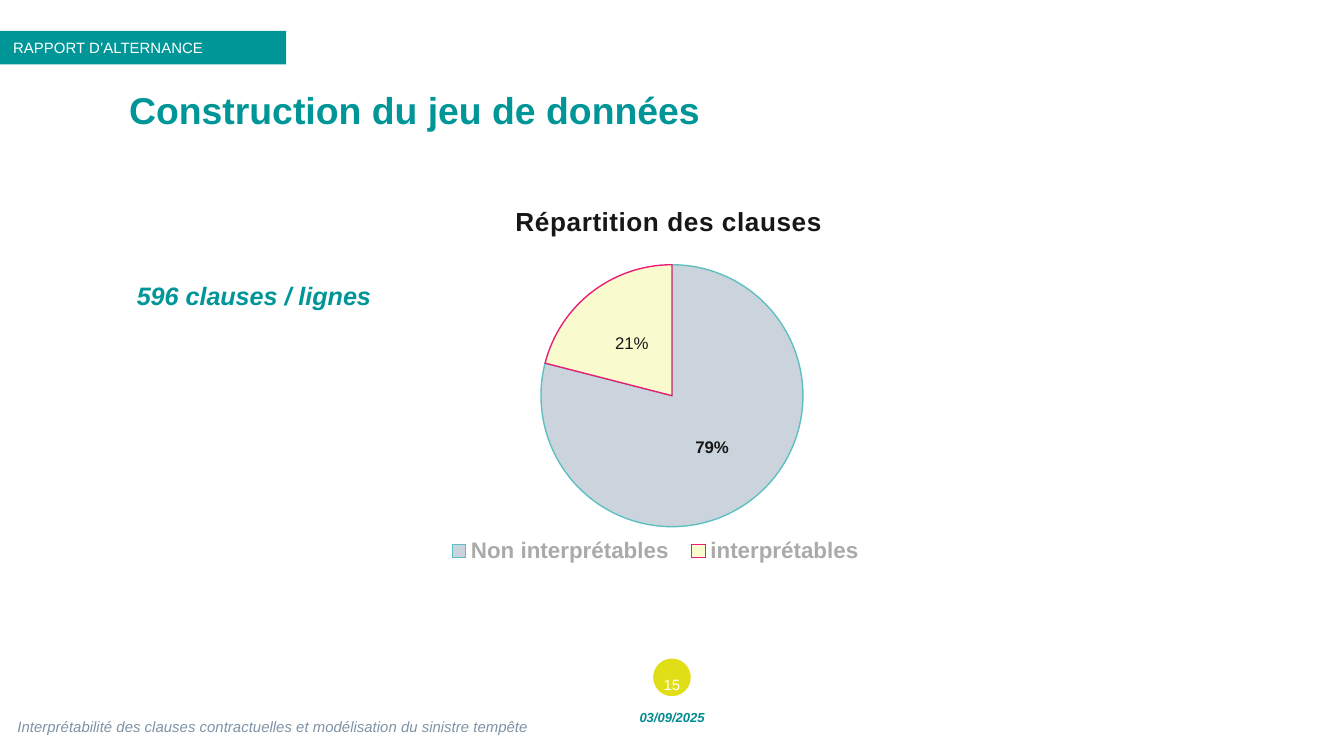
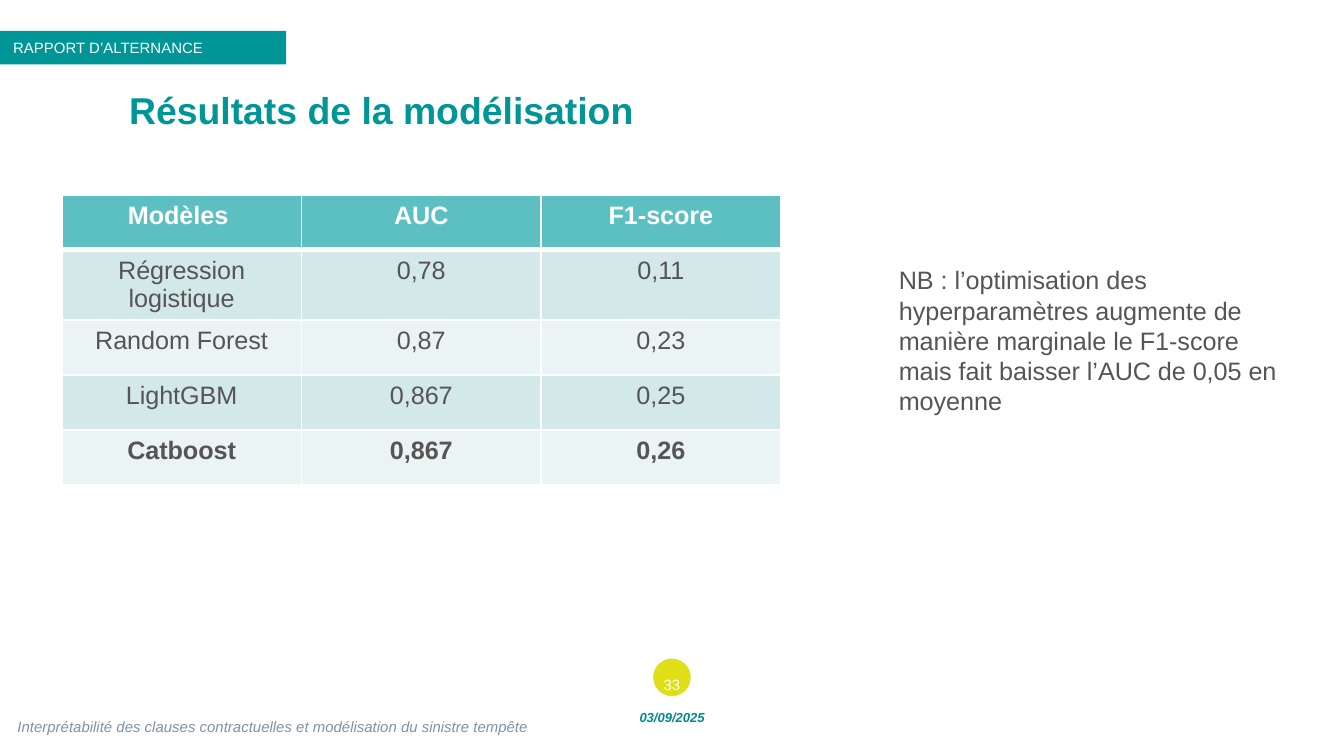
from collections import namedtuple

from lxml import etree
from pptx import Presentation
from pptx.chart.data import CategoryChartData
from pptx.dml.color import RGBColor
from pptx.enum.chart import XL_CHART_TYPE, XL_LABEL_POSITION, XL_LEGEND_POSITION
from pptx.enum.shapes import MSO_SHAPE
from pptx.enum.text import MSO_ANCHOR as Anchor, MSO_AUTO_SIZE as AutoSize, PP_ALIGN as Align
from pptx.oxml import parse_xml
from pptx.oxml.ns import nsdecls, qn
from pptx.util import Inches, Pt

FONT = "Arial"
TEAL = RGBColor(0x00, 0x95, 0x97)
DARK_TEAL = RGBColor(0x00, 0x89, 0x90)
LIGHT_TEAL = RGBColor(0x5C, 0xBF, 0xC1)
PALE_TEAL = RGBColor(0xD2, 0xE8, 0xE9)
PALEST_TEAL = RGBColor(0xEA, 0xF4, 0xF4)
LIME = RGBColor(0xE0, 0xDE, 0x16)
PINK = RGBColor(0xE7, 0x1E, 0x74)
SLATE = RGBColor(0x7E, 0x93, 0xA7)
MIST = RGBColor(0xCB, 0xD4, 0xDC)
CREAM = RGBColor(0xFA, 0xFA, 0xCF)
BLACK = RGBColor(0x18, 0x17, 0x17)
GRAY = RGBColor(0x57, 0x54, 0x54)
LIGHT_GRAY = RGBColor(0xAC, 0xA9, 0xA9)
WHITE = RGBColor(0xFF, 0xFF, 0xFF)

BODY_SIZE = 13.5
TIGHT = 0.04
DATE = "03/09/2025"
BAND_TEXT = "RAPPORT D’ALTERNANCE"
FOOTER_TEXT = "Interprétabilité des clauses contractuelles et modélisation du sinistre tempête"

Box = namedtuple("Box", "left top width height")
PAGE = Box(0, 0, 10, 10 * 9 / 16)


def inches(box):
    """Return the box as four lengths."""
    return [Inches(value) for value in box]


def style_font(font, size, color, bold=False, italic=False):
    """Set the common font with its size, colour and weight."""
    font.name = FONT
    font.size = Pt(size)
    font.color.rgb = color
    font.bold = bold
    font.italic = italic


def write(frame, text, size, color, bold=False, italic=False, align=Align.LEFT):
    """Write one styled run and return its paragraph."""
    paragraph = frame.paragraphs[0]
    paragraph.alignment = align
    run = paragraph.add_run()
    run.text = text
    style_font(run.font, size, color, bold, italic)
    return paragraph


def set_margins(frame, margin):
    """Give the four sides of a text frame the same margin."""
    frame.margin_left = frame.margin_right = Inches(margin)
    frame.margin_top = frame.margin_bottom = Inches(margin)


def add_text(slide, box, text, size, color, margin=None, anchor=Anchor.MIDDLE, **style):
    """Add a wrapping text box with one run."""
    frame = slide.shapes.add_textbox(*inches(box)).text_frame
    frame.word_wrap = True
    frame.vertical_anchor = anchor
    if margin is not None:
        set_margins(frame, margin)
    write(frame, text, size, color, **style)


def add_filled(slide, kind, box, color):
    """Add a flat shape without outline."""
    shape = slide.shapes.add_shape(kind, *inches(box))
    shape.shadow.inherit = False
    shape.fill.solid()
    shape.fill.fore_color.rgb = color
    shape.line.fill.background()
    return shape


def add_title(slide, box, text):
    """Place and format the title placeholder."""
    title = slide.shapes.title
    title.left, title.top, title.width, title.height = inches(box)
    frame = title.text_frame
    frame.auto_size = AutoSize.NONE
    frame.word_wrap = True
    frame.vertical_anchor = Anchor.TOP
    set_margins(frame, TIGHT)
    write(frame, text, 20, TEAL, bold=True).line_spacing = 0.85


def add_band(slide, box):
    """Add the report band at the left edge."""
    band = add_filled(slide, MSO_SHAPE.RECTANGLE, box, TEAL)
    band.text_frame.vertical_anchor = Anchor.MIDDLE
    write(band.text_frame, BAND_TEXT, 8, WHITE).space_after = Pt(6)


def add_footer(slide, box, number):
    """Add the page badge, the date and the running text."""
    center = box.left + box.width / 2
    badge = Box(center - 0.14, box.top, 0.28, 0.28)
    add_filled(slide, MSO_SHAPE.OVAL, badge, LIME)
    add_text(slide, Box(center - 0.24, box.top + 0.04, 0.48, 0.3), str(number), 8, WHITE,
             align=Align.CENTER)
    add_text(slide, Box(center - 0.36, box.top + 0.35, 0.72, 0.18), DATE, 7, DARK_TEAL,
             TIGHT, bold=True, italic=True, align=Align.CENTER)
    add_text(slide, Box(box.left + 0.09, box.top + 0.38, 4.26, 0.25), FOOTER_TEXT, 8, SLATE,
             TIGHT, italic=True)


def add_base_slide(presentation, title, number):
    """Add a slide with the shared title, band and footer."""
    slide = presentation.slides.add_slide(presentation.slide_layouts[5])
    add_title(slide, Box(0.92, 0.66, 8.8, 0.49), title)
    add_band(slide, Box(0, 0.23, 2.13, 0.25))
    add_footer(slide, Box(0, 4.9, PAGE.width, 0.72), number)
    return slide


def set_layout(element, box, inner=False):
    """Place a chart part by fractions of the chart area."""
    for previous in element.findall(qn("c:layout")):
        element.remove(previous)
    layout = etree.Element(qn("c:layout"))
    manual = etree.SubElement(layout, qn("c:manualLayout"))
    values = [("layoutTarget", "inner")] if inner else []
    values += [("xMode", "edge"), ("yMode", "edge")]
    values += zip("xywh", box)
    for name, value in values:
        etree.SubElement(manual, qn(f"c:{name}")).set("val", str(value))
    anchors = [child for child in element if child.tag in (qn("c:tx"), qn("c:legendPos"))]
    element.insert(element.index(anchors[-1]) + 1 if anchors else 0, layout)


def add_clause_pie(slide, box):
    """Add the pie of clauses with its title, labels and legend."""
    data = CategoryChartData()
    data.categories = ["Non interprétables", "interprétables "]
    data.add_series("Series 1", (79, 21))
    chart = slide.shapes.add_chart(XL_CHART_TYPE.PIE, *inches(box), data).chart
    style_font(chart.font, 10, GRAY)

    chart.has_title = True
    title = write(chart.chart_title.text_frame, "Répartition des clauses", 14, BLACK, bold=True)
    title.runs[0].font._element.set("spc", "20")
    chart.chart_title.include_in_layout = False
    set_layout(chart.chart_title._element, (0.26, 0.04))

    chart.has_legend = True
    chart.legend.position = XL_LEGEND_POSITION.BOTTOM
    chart.legend.include_in_layout = False
    style_font(chart.legend.font, 12, LIGHT_GRAY, bold=True)
    set_layout(chart.legend._element, (0.15, 0.86, 0.66, 0.1))

    plot = chart.plots[0]
    plot.vary_by_categories = True
    set_layout(plot._element.getparent(), (0.3, 0.2, 0.4, 0.65), inner=True)
    series = plot.series[0]
    for index, (fill, line) in enumerate([(MIST, LIGHT_TEAL), (CREAM, PINK)]):
        point_format = series.points[index].format
        point_format.fill.solid()
        point_format.fill.fore_color.rgb = fill
        point_format.line.color.rgb = line
        point_format.line.width = Pt(0.75)

    labels = series.data_labels
    labels.show_value = False
    labels.show_percentage = True
    labels.number_format = "0%"
    labels.number_format_is_linked = False
    labels.position = XL_LABEL_POSITION.CENTER
    style_font(labels.font, 9, BLACK, bold=True)

    small_label = series.points[1].data_label
    style_font(small_label.font, 9, BLACK)
    small_label.position = XL_LABEL_POSITION.CENTER
    element = labels._element.find(qn("c:dLbl"))
    element.find(qn("c:showVal")).set("val", "0")
    element.find(qn("c:showPercent")).set("val", "1")


def set_borders(cell, bottom):
    """Draw white borders with the given bottom width."""
    properties = cell._tc.get_or_add_tcPr()
    widths = {"lnL": 1, "lnR": 1, "lnT": 1, "lnB": bottom}
    for position, (side, width) in enumerate(widths.items()):
        properties.insert(position, parse_xml(
            f'<a:{side} {nsdecls("a")} w="{Pt(width)}"><a:solidFill>'
            f'<a:srgbClr val="{WHITE}"/></a:solidFill></a:{side}>'))


def add_score_table(slide, box, rows):
    """Add the table of model scores, with header and best row in bold."""
    table = slide.shapes.add_table(len(rows), len(rows[0]), *inches(box)).table
    last = len(rows) - 1
    for index, values in enumerate(rows):
        header = index == 0
        fill = LIGHT_TEAL if header else PALE_TEAL if index % 2 else PALEST_TEAL
        for column, value in enumerate(values):
            cell = table.cell(index, column)
            cell.margin_bottom = Inches(0.02)
            cell.fill.solid()
            cell.fill.fore_color.rgb = fill
            set_borders(cell, 3 if header else 1)
            write(cell.text_frame, value, BODY_SIZE, WHITE if header else GRAY,
                  bold=index in (0, last), align=Align.CENTER)


def add_dataset_slide(presentation):
    """Build the slide on the data set."""
    slide = add_base_slide(presentation, "Construction du jeu de données", 15)
    add_clause_pie(slide, Box(2.5, 1.37, 5, 3))
    add_text(slide, Box(0.92, 2.04, 2.36, 0.33), "596 clauses / lignes", BODY_SIZE, TEAL,
             anchor=Anchor.TOP, bold=True, italic=True)


def add_results_slide(presentation):
    """Build the slide on the model results."""
    slide = add_base_slide(presentation, "Résultats de la modélisation", 33)
    add_score_table(slide, Box(0.46, 1.45, 5.35, 2.05), [
        ("Modèles ", "AUC", "F1-score"),
        ("Régression logistique", "0,78", "0,11"),
        ("Random Forest", "0,87", "0,23"),
        ("LightGBM", "0,867", "0,25"),
        ("Catboost", "0,867", "0,26"),
    ])
    add_text(
        slide, Box(6.59, 1.92, 3.07, 1.24),
        "NB : l’optimisation des hyperparamètres augmente de manière marginale le F1-score "
        "mais fait baisser l’AUC de 0,05 en moyenne",
        BODY_SIZE, GRAY, anchor=Anchor.TOP)


def main():
    """Build and save the presentation."""
    presentation = Presentation()
    presentation.slide_width = Inches(PAGE.width)
    presentation.slide_height = Inches(PAGE.height)
    add_dataset_slide(presentation)
    add_results_slide(presentation)
    presentation.save("out.pptx")


if __name__ == "__main__":
    main()
